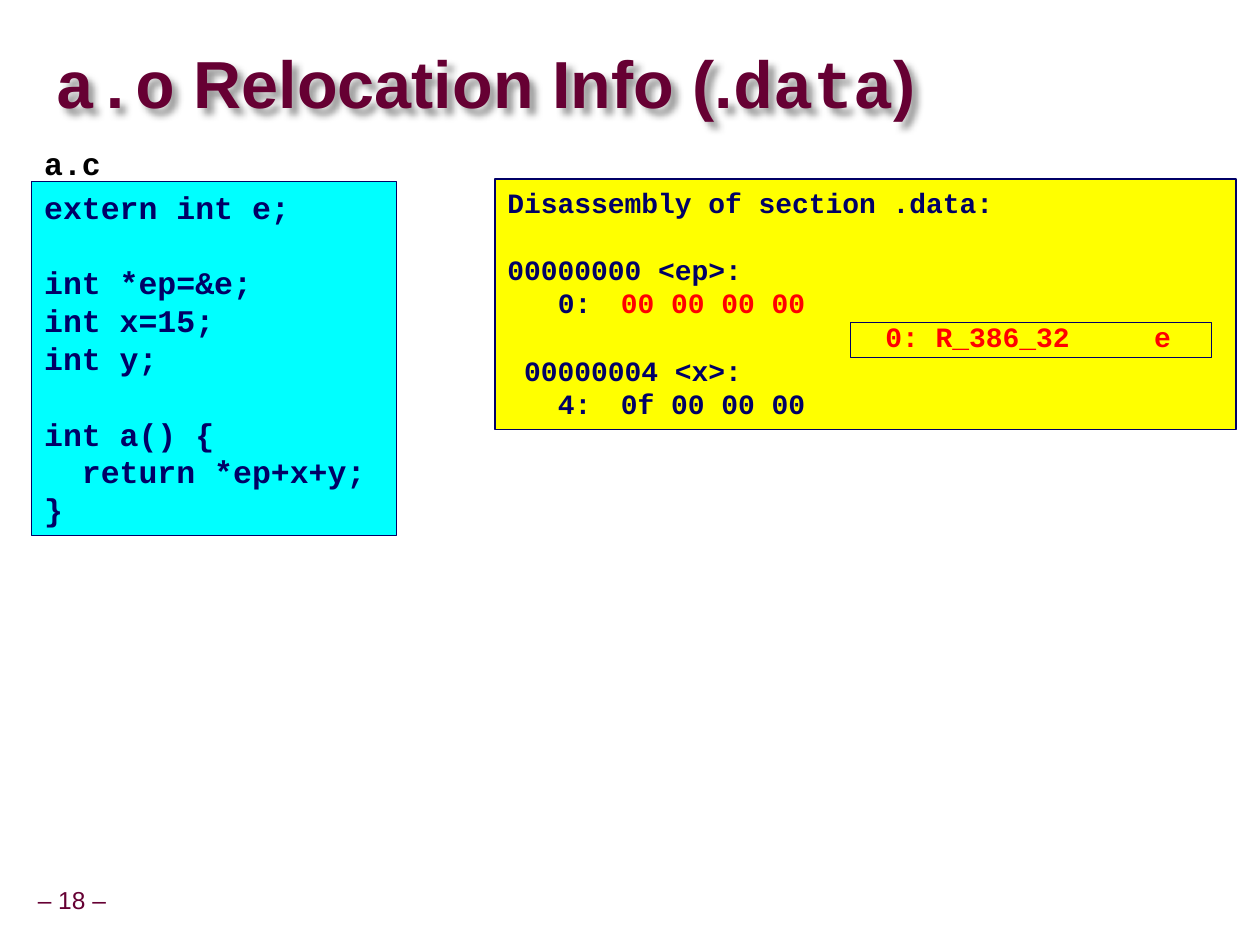
from dataclasses import dataclass
from typing import Optional

import lxml.etree
import pptx
import pptx.dml.color
import pptx.enum.shapes
import pptx.enum.text
import pptx.oxml
import pptx.oxml.ns
import pptx.util

Cm, Pt = pptx.util.Cm, pptx.util.Pt
ANCHOR = pptx.enum.text.MSO_ANCHOR
HEX = {"wine": "660033", "navy": "000066", "cyan": "00FFFF",
       "yellow": "FFFF00", "red": "FF0000", "black": "000000",
       "white": "FFFFFF"}
MONO, SANS = "Courier New", "Arial"
PITCH = 1.2   # line height of code, in font sizes
GLYPH = 0.6   # width of a code letter, in font sizes


@dataclass
class Line:
    runs: list            # (text, colour) pairs
    dent: int = 0         # indent in letters
    gap: bool = False     # one free line above
    tabs: tuple = ()      # tab stops in letters


@dataclass
class Box:
    area: tuple           # left, top, width, height in cm
    edge: str
    width: float
    fill: Optional[str] = None
    size: int = 18
    wrap: bool = False
    lines: tuple = ()


def color(name: str) -> pptx.dml.color.RGBColor:
    return pptx.dml.color.RGBColor.from_string(HEX[name])


def place(shape, area: tuple) -> None:
    for name, value in zip(("left", "top", "width", "height"), area):
        setattr(shape, name, Cm(value))


def add_run(para, text: str, ink: str, **style) -> None:
    run = para.add_run()
    run.text = text
    for name, value in style.items():
        setattr(run.font, name, value)
    run.font.color.rgb = color(ink)


def add_line(para, line: Line, size: int) -> None:
    para.alignment = pptx.enum.text.PP_ALIGN.LEFT
    para.line_spacing = Pt(size * PITCH)
    if line.gap:
        para.space_before = Pt(size * PITCH)
    props = para._p.get_or_add_pPr()
    if line.dent:
        props.set("marL", str(Pt(line.dent * size * GLYPH)))
        props.set("indent", "0")
    if line.tabs:
        stops = lxml.etree.SubElement(props, pptx.oxml.ns.qn("a:tabLst"))
        for stop in line.tabs:
            tab = lxml.etree.SubElement(stops, pptx.oxml.ns.qn("a:tab"))
            tab.set("pos", str(Pt(stop * size * GLYPH)))
            tab.set("algn", "l")
    for text, ink in line.runs:
        add_run(para, text, ink, name=MONO, size=Pt(size), bold=True)


def add_box(slide, box: Box) -> None:
    shape = slide.shapes.add_shape(
        pptx.enum.shapes.MSO_SHAPE.RECTANGLE, *map(Cm, box.area))
    shape.shadow.inherit = False
    if box.fill:
        shape.fill.solid()
        shape.fill.fore_color.rgb = color(box.fill)
    else:
        shape.fill.background()
    shape.line.color.rgb = color(box.edge)
    shape.line.width = Pt(box.width)
    frame = shape.text_frame
    frame.word_wrap = box.wrap
    frame.vertical_anchor = ANCHOR.TOP
    for i, line in enumerate(box.lines):
        para = frame.add_paragraph() if i else frame.paragraphs[0]
        add_line(para, line, box.size)


def code(text: str, dent: int = 0, gap: bool = False) -> Line:
    return Line([(text, "navy")], dent, gap)


BOXES = (
    # Source file name and listing
    Box((0.64, 2.77, 1.65, 1.02), "white", 0.25,
        lines=(Line([("a.c", "black")]),)),
    Box((0.64, 3.66, 7.34, 7.14), "navy", 0.25, "cyan", lines=(
        code("extern int e;"),
        code("int *ep=&e;", gap=True),
        code("int x=15;"),
        code("int y;"),
        code("int a() {", gap=True),
        code("return *ep+x+y;", dent=2),
        code("}"))),
    # Disassembly
    Box((9.98, 3.61, 14.94, 5.05), "navy", 1, "yellow", 16, True, (
        code("Disassembly of section .data:"),
        code("00000000 <ep>:", gap=True),
        Line([("0:\t", "navy"), ("00 00 00 00", "red")], 3, tabs=(8,)),
        Line([("\t0: R_386_32\te", "red")], tabs=(22.5, 38.5)),
        code("00000004 <x>:", dent=1),
        Line([("4:\t0f 00 00 00", "navy")], 3, tabs=(8,)))),
    # Frame around the relocation entry
    Box((17.15, 6.5, 7.26, 0.71), "navy", 0.25),
)


def add_title(slide) -> None:
    title = slide.shapes.title
    place(title, (1.12, 0.69, 24.2, 2.16))
    frame = title.text_frame
    form = {"margin_left": 0, "margin_top": 0, "margin_right": 0,
            "margin_bottom": 0, "vertical_anchor": ANCHOR.MIDDLE,
            "word_wrap": True}
    for name, value in form.items():
        setattr(frame, name, value)
    para = frame.paragraphs[0]
    para.alignment = pptx.enum.text.PP_ALIGN.LEFT
    para.line_spacing = 0.87
    for text, face in (("a.o", MONO), (" Relocation Info (.", SANS),
                       ("data", MONO), (")", SANS)):
        add_run(para, text, "wine", name=face, size=Pt(38), bold=True)
    # Soft shadow under the letters
    title._element.spPr.append(pptx.oxml.parse_xml(
        f'<a:effectLst {pptx.oxml.ns.nsdecls("a")}>'
        '<a:outerShdw blurRad="50800" dist="50800" dir="2700000">'
        '<a:srgbClr val="000000"><a:alpha val="40000"/></a:srgbClr>'
        '</a:outerShdw></a:effectLst>'))


def add_number(slide) -> None:
    note = slide.shapes.add_textbox(*map(Cm, (0.61, 17.78, 1.68, 0.79)))
    frame = note.text_frame
    for side in ("left", "top", "right", "bottom"):
        setattr(frame, f"margin_{side}", Cm(0.13))
    frame.word_wrap = False
    frame.vertical_anchor = ANCHOR.MIDDLE
    para = frame.paragraphs[0]
    para.alignment = pptx.enum.text.PP_ALIGN.CENTER
    para.line_spacing = 0.9
    add_run(para, "– 18 –", "wine", name=SANS, size=Pt(14))


def main() -> None:
    deck = pptx.Presentation()
    deck.slide_width, deck.slide_height = Cm(25.4), Cm(19.05)
    slide = deck.slides.add_slide(deck.slide_layouts[5])
    add_number(slide)
    add_title(slide)
    for box in BOXES:
        add_box(slide, box)
    deck.save("out.pptx")


if __name__ == "__main__":
    main()
